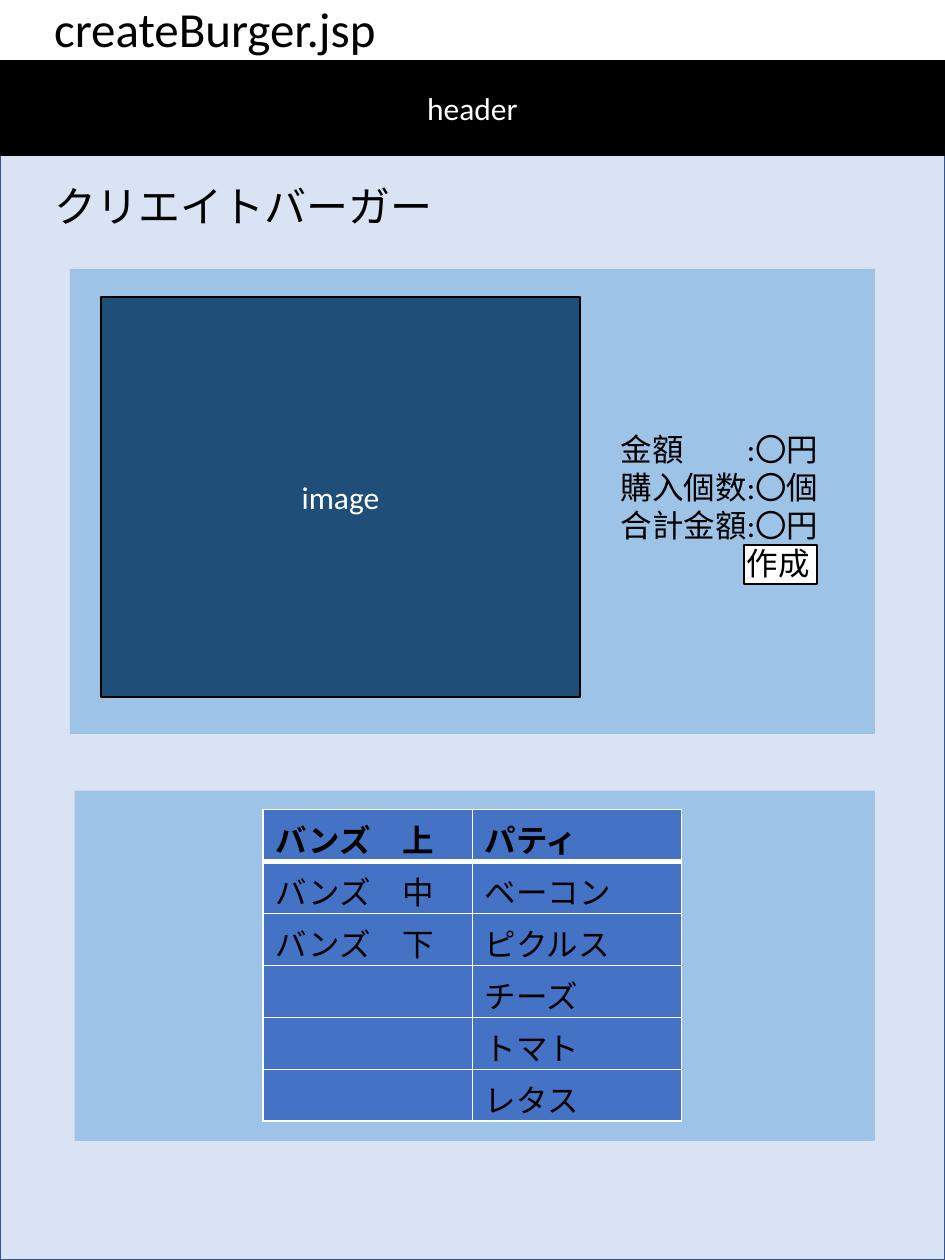
from dataclasses import dataclass
from typing import Optional

from lxml import etree
from pptx import Presentation
from pptx import util as u
from pptx.dml.color import RGBColor
from pptx.enum import shapes, text
from pptx.oxml.ns import qn

COLORS = {
    "page": "DAE3F3", "page_edge": "325491", "panel": "9DC3E6",
    "photo": "1F4E79", "cell": "4472C4", "black": "000000", "white": "FFFFFF",
}
FONT = "Calibri"
COLUMNS, ROWS = 75, 100

prs = Presentation()
prs.slide_width, prs.slide_height = u.Inches(7.5), u.Inches(10)
COL, ROW = prs.slide_width / COLUMNS, prs.slide_height / ROWS


@dataclass
class Area:
    col: float
    row: float
    cols: float
    rows: float

    def box(self) -> tuple:
        return (u.Emu(round(self.col * COL)), u.Emu(round(self.row * ROW)),
                u.Emu(round(self.cols * COL)), u.Emu(round(self.rows * ROW)))


@dataclass
class Block:
    area: Area
    fill: str
    edge: Optional[str] = None
    label: str = ""


@dataclass
class Note:
    area: Area
    lines: list
    size: int
    tab: Optional[float] = None


def rgb(name: str) -> RGBColor:
    return RGBColor.from_string(COLORS[name])


def add_run(paragraph, words: str, size: int, color: str, bold: bool = False) -> None:
    run = paragraph.add_run()
    run.text = words
    run.font.name, run.font.size, run.font.bold = FONT, u.Pt(size), bold
    run.font.color.rgb = rgb(color)


def draw_block(slide, block: Block) -> None:
    rect = slide.shapes.add_shape(shapes.MSO_SHAPE.RECTANGLE, *block.area.box())
    rect.shadow.inherit = False
    rect.fill.solid()
    rect.fill.fore_color.rgb = rgb(block.fill)
    if block.edge:
        rect.line.color.rgb = rgb(block.edge)
        rect.line.width = u.Pt(1)
    else:
        rect.line.fill.background()
    if block.label:
        rect.text_frame.vertical_anchor = text.MSO_ANCHOR.MIDDLE
        paragraph = rect.text_frame.paragraphs[0]
        paragraph.alignment = text.PP_ALIGN.CENTER
        add_run(paragraph, block.label, 18, "white")


def set_tab(paragraph, cols: float) -> None:
    tabs = etree.SubElement(paragraph._p.get_or_add_pPr(), qn("a:tabLst"))
    etree.SubElement(tabs, qn("a:tab"), pos=str(round(cols * COL)), algn="l")


def draw_note(slide, note: Note) -> None:
    frame = slide.shapes.add_textbox(*note.area.box()).text_frame
    frame.word_wrap = True
    frame.auto_size = text.MSO_AUTO_SIZE.SHAPE_TO_FIT_TEXT
    for index, line in enumerate(note.lines):
        paragraph = frame.add_paragraph() if index else frame.paragraphs[0]
        if note.tab:
            set_tab(paragraph, note.tab)
        add_run(paragraph, line, note.size, "black")


def draw_title(slide, area: Area, words: str) -> None:
    title = slide.shapes.title
    title.left, title.top, title.width, title.height = area.box()
    frame = title.text_frame
    frame.word_wrap = True
    frame.auto_size = text.MSO_AUTO_SIZE.NONE
    frame.vertical_anchor = text.MSO_ANCHOR.TOP
    frame.paragraphs[0].alignment = text.PP_ALIGN.LEFT
    add_run(frame.paragraphs[0], words, 28, "black")


def set_border(cell, side: str, points: float) -> None:
    line = etree.SubElement(cell._tc.get_or_add_tcPr(), qn(f"a:ln{side}"), w=str(u.Pt(points)))
    fill = etree.SubElement(line, qn("a:solidFill"))
    etree.SubElement(fill, qn("a:srgbClr"), val=COLORS["white"])


def draw_table(slide, area: Area, buns: list, fillings: list) -> None:
    table = slide.shapes.add_table(len(fillings), 2, *area.box()).table
    table.horz_banding = False
    for col, words in enumerate((buns, fillings)):
        for row in range(len(fillings)):
            cell = table.cell(row, col)
            cell.margin_bottom = 0
            for side in "LRTB":
                heavy = (row, side) in ((0, "B"), (1, "T"))
                set_border(cell, side, 3 if heavy else 1)
            cell.fill.solid()
            cell.fill.fore_color.rgb = rgb("cell")
            if row < len(words):
                add_run(cell.text_frame.paragraphs[0], words[row], 18, "black", row == 0)


BLOCKS = [
    Block(Area(0, 7.3, 75, 92.7), "page", "page_edge"),
    Block(Area(5.92, 62.75, 63.52, 27.8), "panel"),
    Block(Area(5.54, 21.34, 63.9, 36.9), "panel"),
    Block(Area(8, 23.55, 38.05, 31.8), "photo", "black", "image"),
    Block(Area(59.04, 43.26, 5.8, 3.1), "white", "black"),
    Block(Area(0, 4.85, 75, 7.5), "black", "black", "header"),
]
NOTES = [
    Note(Area(48.3, 33.65, 22.7, 13.1),
         ["金額\t:〇円", "購入個数:〇個", "合計金額:〇円", "\t作成"], 18, tab=10),
    Note(Area(3.34, 13.8, 44.9, 5), ["クリエイトバーガー"], 24),
]
BUNS = ["バンズ　上", "バンズ　中", "バンズ　下"]
FILLINGS = ["パティ", "ベーコン", "ピクルス", "チーズ", "トマト", "レタス"]


def main() -> None:
    slide = prs.slides.add_slide(prs.slide_layouts[5])
    draw_title(slide, Area(3.3, -0.6, 67.3, 5.7), "createBurger.jsp")
    for block in BLOCKS:
        draw_block(slide, block)
    draw_table(slide, Area(20.86, 64.25, 33.25, 24.3), BUNS, FILLINGS)
    for note in NOTES:
        draw_note(slide, note)
    prs.save("out.pptx")


if __name__ == "__main__":
    main()
